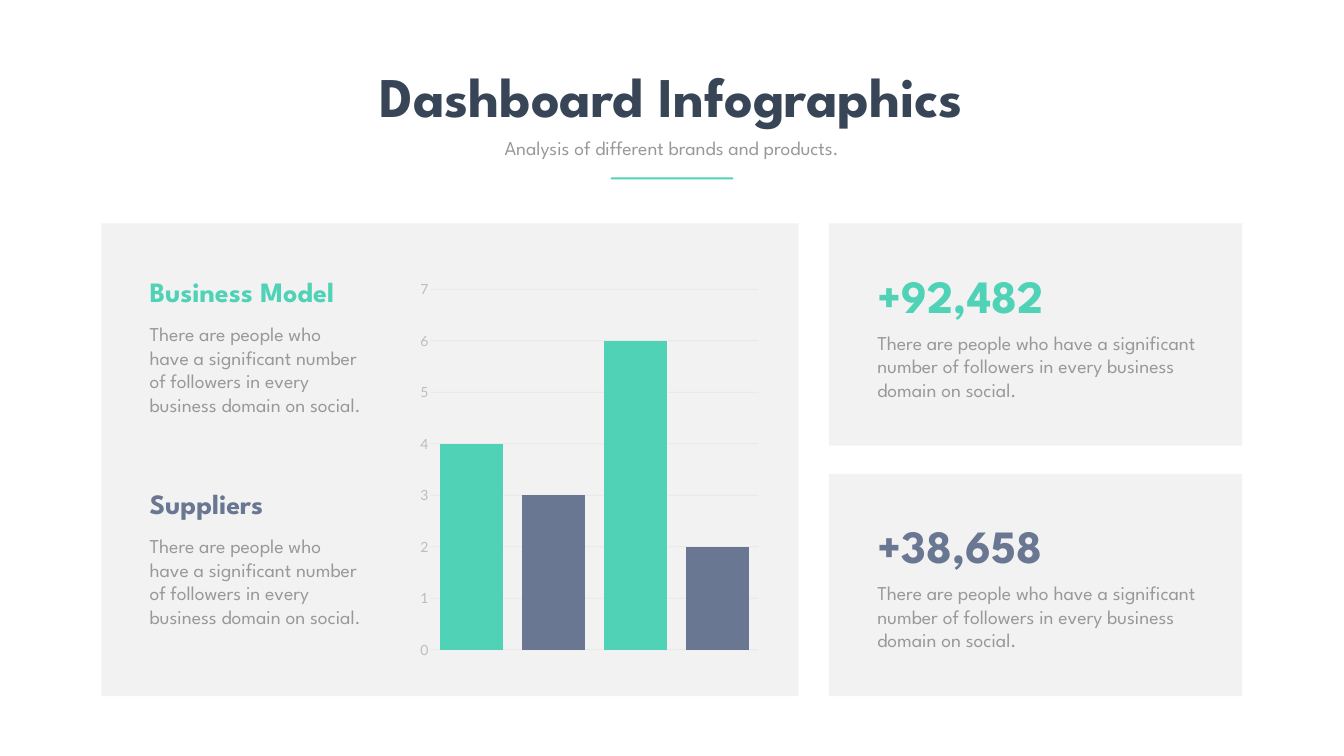
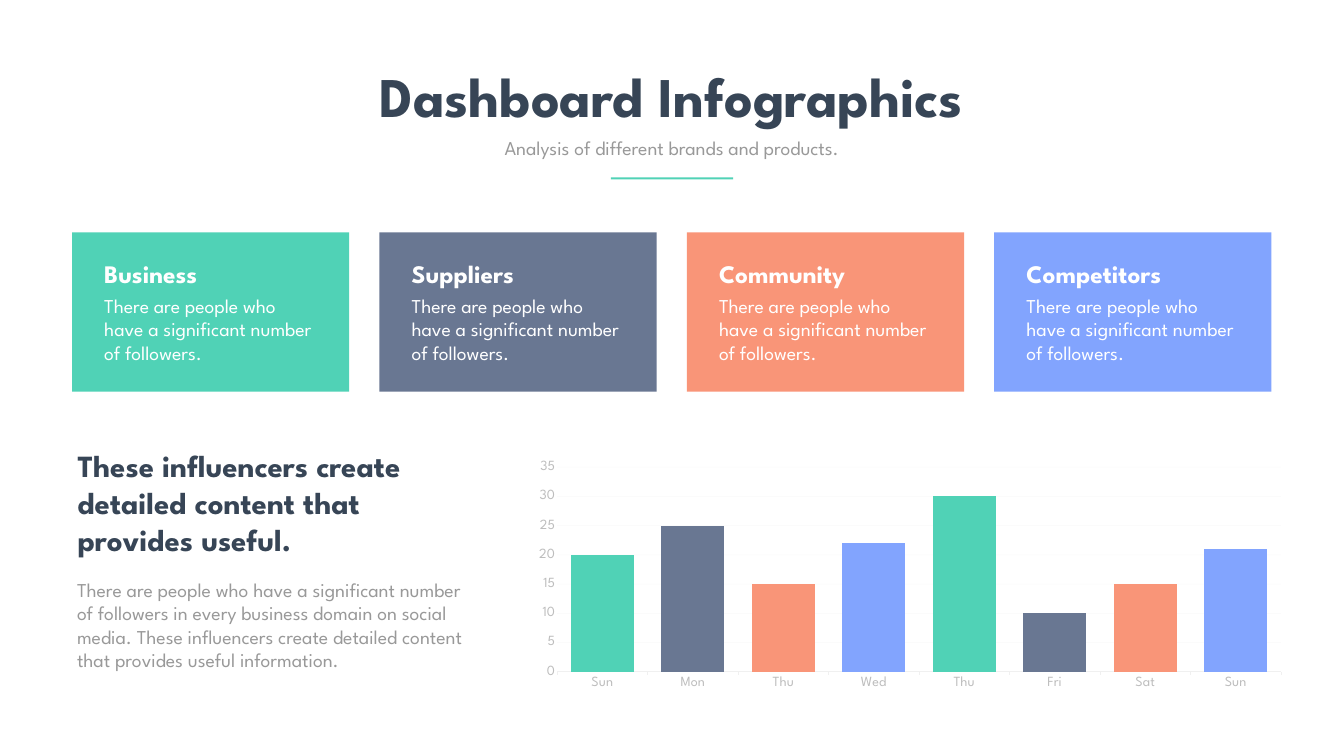
from itertools import cycle

from lxml.etree import SubElement
from pptx import Presentation
from pptx.chart.data import CategoryChartData
from pptx.dml.color import RGBColor
from pptx.enum.chart import XL_CHART_TYPE, XL_TICK_MARK
from pptx.enum.shapes import MSO_SHAPE
from pptx.enum.text import MSO_ANCHOR, MSO_AUTO_SIZE, PP_ALIGN
from pptx.oxml.ns import qn
from pptx.util import Inches, Pt

TEAL, SLATE, CORAL, BLUE = "50D2B6", "697792", "F99578", "82A4FE"
NAVY, GREY, PALE, WHITE = "374556", "999999", "F2F2F2", "FFFFFF"
AXIS_TEXT, AXIS_LINE = "BDBDBD", "F0F0F0"
FOLLOWERS = "There are people who have a significant number of followers"
DOMAIN = f"{FOLLOWERS} in every business domain on social"


def colour(value):
    return RGBColor.from_string(value)


class Dashboard:
    font = "League Spartan"
    body_size = 28

    def __init__(self, deck):
        self.deck = deck
        self.page = None

    def new_page(self, title, subtitle):
        self.page = self.deck.slides.add_slide(self.deck.slide_layouts[0])
        heading, caption = self.page.placeholders
        self.place(heading, 6.69, 1.17, 13.27, 1.45)
        self.fill_text(heading, title, 80, NAVY, True, PP_ALIGN.CENTER)
        heading.text_frame.word_wrap = False
        self.place(caption, 8.55, 2.65, 9.56, 0.57)
        self.fill_text(caption, subtitle, self.body_size, GREY, False, PP_ALIGN.CENTER)
        self.panel(12.12, 3.52, 2.43, 0.04, TEAL, MSO_SHAPE.RECTANGLE)

    def place(self, box, left, top, width, height):
        box.left, box.top = Inches(left), Inches(top)
        box.width, box.height = Inches(width), Inches(height)

    def fill_text(self, box, text, size, ink, bold, align):
        frame = box.text_frame
        frame.word_wrap = True
        frame.auto_size = MSO_AUTO_SIZE.SHAPE_TO_FIT_TEXT
        frame.vertical_anchor = MSO_ANCHOR.TOP
        para = frame.paragraphs[0]
        para.alignment = align
        para.space_before = Pt(0)
        span = para.add_run()
        span.text = text
        self.style(span.font, size, ink, self.font, bold)

    def style(self, font, size, ink, name, bold=False):
        font.size, font.name, font.bold = Pt(size), name, bold
        font.color.rgb = colour(ink)

    def text(self, left, top, width, height, text, size=body_size, ink=GREY, bold=False):
        box = self.page.shapes.add_textbox(
            Inches(left), Inches(top), Inches(width), Inches(height))
        self.fill_text(box, text, size, ink, bold, PP_ALIGN.LEFT)

    def panel(self, left, top, width, height, fill, kind=MSO_SHAPE.ROUNDED_RECTANGLE):
        shape = self.page.shapes.add_shape(
            kind, Inches(left), Inches(top), Inches(width), Inches(height))
        if kind == MSO_SHAPE.ROUNDED_RECTANGLE:
            shape.adjustments[0] = 0
        shape.shadow.inherit = False
        shape.fill.solid()
        shape.fill.fore_color.rgb = colour(fill)
        shape.line.fill.background()

    def chart(self, left, top, width, height, kind, names, values, palette, gap, font):
        data = CategoryChartData()
        data.categories = names
        data.add_series("Series 1", values)
        chart = self.page.shapes.add_chart(
            kind, Inches(left), Inches(top), Inches(width), Inches(height), data).chart
        chart.has_legend = False
        chart.has_title = False
        self.style(chart.font, 20, GREY, font)
        for axis in (chart.category_axis, chart.value_axis):
            self.style(axis.tick_labels.font, 20, AXIS_TEXT, font)
        chart.value_axis.major_tick_mark = XL_TICK_MARK.NONE
        chart.value_axis.format.line.fill.background()
        plot = chart.plots[0]
        plot.gap_width = gap
        plot.vary_by_categories = False
        series = plot.series[0]
        series.format.fill.solid()
        series.format.fill.fore_color.rgb = colour(palette[0])
        for index, (_, fill) in enumerate(zip(values, cycle(palette))):
            point_fill = series.points[index].format.fill
            point_fill.solid()
            point_fill.fore_color.rgb = colour(fill)
        return chart

    def scale(self, chart, top, step, line_colour, line_width, opacity):
        axis = chart.value_axis
        axis.minimum_scale, axis.maximum_scale, axis.major_unit = 0, top, step
        axis.has_major_gridlines = True
        line = axis.major_gridlines.format.line
        line.width = Pt(line_width)
        line.color.rgb = colour(line_colour)
        area = chart._chartSpace.chart.plotArea
        tint = area.find(f".//{qn('c:majorGridlines')}//{qn('a:srgbClr')}")
        SubElement(tint, qn("a:alpha"), val=str(opacity * 1000))

    def fix_plot(self, chart, left, top, width, height):
        area = chart._chartSpace.chart.plotArea
        for old in area.findall(qn("c:layout")):
            area.remove(old)
        layout = SubElement(area, qn("c:layout"))
        area.insert(0, layout)
        manual = SubElement(layout, qn("c:manualLayout"))
        settings = (("layoutTarget", "inner"), ("xMode", "edge"), ("yMode", "edge"),
                    ("x", left), ("y", top), ("w", width), ("h", height))
        for tag, value in settings:
            SubElement(manual, qn(f"c:{tag}"), val=str(value))


def build_metrics(board):
    board.new_page("Dashboard Infographics", "Analysis of different brands and products.")
    board.panel(2.01, 4.43, 13.84, 9.38, PALE)
    chart = board.chart(8.2, 5.41, 6.99, 7.81, XL_CHART_TYPE.COLUMN_STACKED,
                        ["1", "2", "3", "4"], [4, 3, 6, 2], [TEAL, SLATE], 30, "Lato")
    chart.plots[0].overlap = 100
    chart.category_axis.visible = False
    board.scale(chart, 7, 1, "808080", 1, 10)

    topics = (("Business Model", TEAL), ("Suppliers", SLATE))
    for row, (topic, ink) in enumerate(topics):
        top = 5.39 + 4.21 * row
        board.text(2.87, top, 4.39, 0.77, topic, 40, ink, True)
        board.text(2.87, top + 0.95, 4.39, 2.46, f"{DOMAIN}.")

    totals = (("+92,482", TEAL), ("+38,658", SLATE))
    for row, (total, ink) in enumerate(totals):
        top = 4.43 + 4.97 * row
        board.panel(16.45, top, 8.2, 4.41, PALE)
        board.text(17.31, top + 0.82, 5.37, 1.21, total, 66, ink, True)
        board.text(17.31, top + 2.08, 6.52, 1.51, f"{DOMAIN}.")


def build_week(board):
    palette = [TEAL, SLATE, CORAL, BLUE]
    board.new_page("Dashboard Infographics", "Analysis of different brands and products.")
    board.text(1.44, 8.82, 7.94, 2.32,
               "These influencers create detailed content that provides useful.", 44, NAVY, True)
    board.text(1.43, 11.41, 7.95, 2.46,
               f"{DOMAIN} media. These influencers create detailed content "
               "that provides useful information.")

    days = ["Sun", "Mon", "Thu", "Wed", "Thu", "Fri", "Sat", "Sun"]
    chart = board.chart(10.45, 8.82, 15.12, 5.01, XL_CHART_TYPE.COLUMN_CLUSTERED, days,
                        [20, 25, 15, 22, 30, 10, 15, 21], palette, 44, board.font)
    line = chart.category_axis.format.line
    line.color.rgb = colour(AXIS_LINE)
    line.width = Pt(0.75)
    chart.category_axis.major_tick_mark = XL_TICK_MARK.OUTSIDE
    board.scale(chart, 35, 5, GREY, 0.75, 5)
    board.fix_plot(chart, 0.04, 0.09, 0.95, 0.81)

    groups = ("Business", "Suppliers", "Community", "Competitors")
    for column, (group, fill) in enumerate(zip(groups, palette)):
        left = 1.43 + 6.1 * column
        board.panel(left, 4.61, 5.5, 3.16, fill)
        board.text(left + 0.54, 5.08, 4.41, 0.71, group, 36, WHITE, True)
        board.text(left + 0.54, 5.78, 4.42, 1.51, f"{FOLLOWERS}.", ink=WHITE)


def main():
    deck = Presentation()
    deck.slide_width, deck.slide_height = Inches(26.67), Inches(15)
    board = Dashboard(deck)
    build_metrics(board)
    build_week(board)
    deck.save("out.pptx")


if __name__ == "__main__":
    main()
